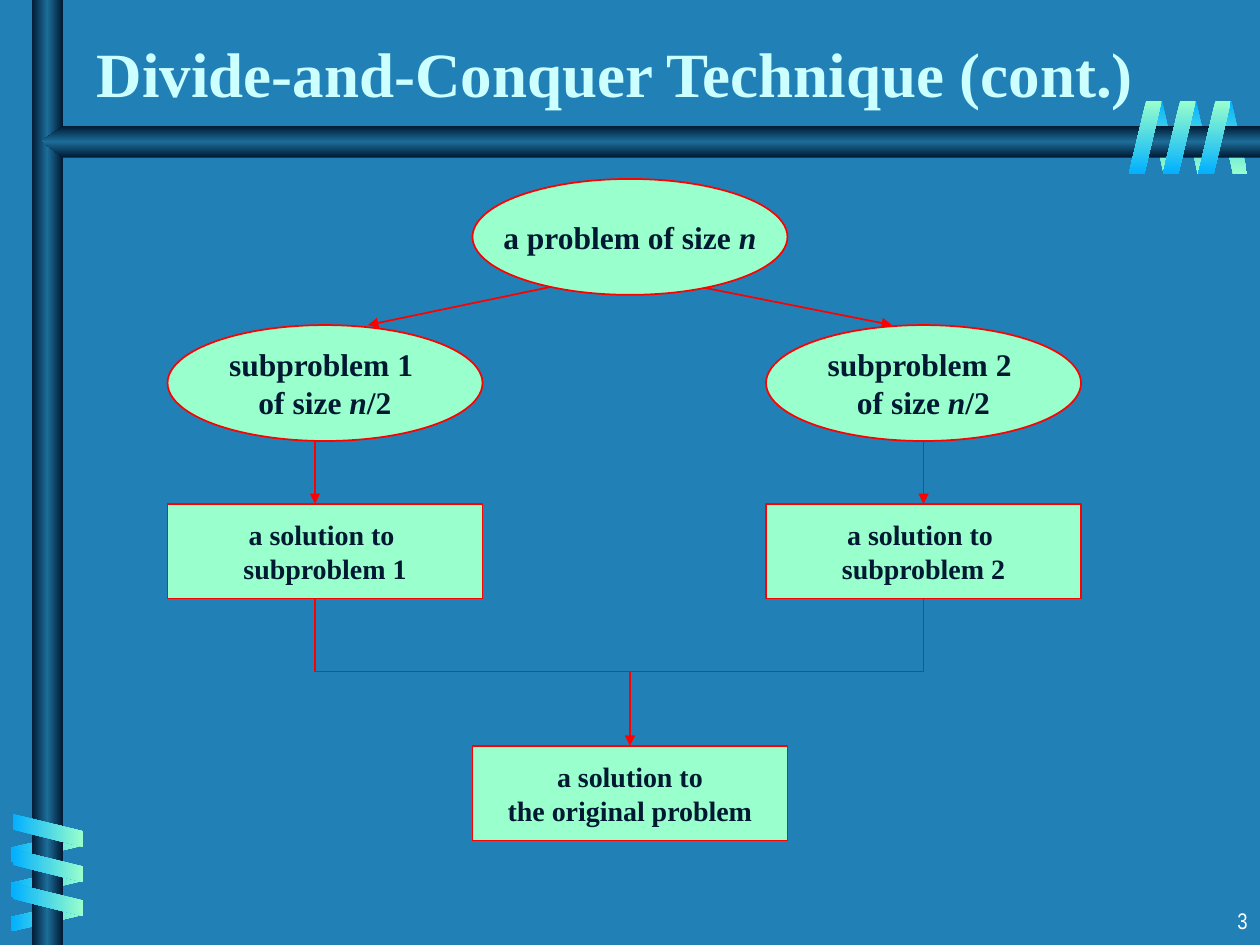
from copy import deepcopy

from pptx import Presentation
from pptx.dml.color import RGBColor
from pptx.enum.shapes import MSO_CONNECTOR as Connector, MSO_SHAPE as Shape
from pptx.enum.text import MSO_ANCHOR as Anchor, PP_ALIGN as Align
from pptx.oxml.ns import qn
from pptx.oxml.xmlchemy import OxmlElement
from pptx.util import Inches, Pt

COLORS = {
    "background": "2181B7",
    "title": "CCFFFF",
    "number": "FFFFFF",
    "mint": "99FFCC",
    "sky": "01B0FF",
    "navy": "001932",
    "steel": "1C6D9A",
    "red": "FF0000",
}
SERIF = "Times New Roman"
BAR = ("navy", "steel", "navy")


def color(name):
    return RGBColor.from_string(COLORS[name])


class FlowSlide:
    def __init__(self, presentation):
        self.slide = presentation.slides.add_slide(presentation.slide_layouts[6])
        self.shapes = self.slide.shapes
        fill = self.slide.background.fill
        fill.solid()
        fill.fore_color.rgb = color("background")

    def gradient(self, shape, names, angle):
        """Spread evenly spaced stops, fixed to the slide; angle runs clockwise."""
        shape.shadow.inherit = False
        shape.line.fill.background()
        shape.fill.gradient()
        shape.fill.gradient_angle = -angle % 360
        element = shape._element.spPr.find(qn("a:gradFill"))
        element.set("rotWithShape", "0")
        stop_list = element.find(qn("a:gsLst"))
        for _ in names[2:]:
            stop_list.append(deepcopy(stop_list[0]))
        for index, (stop, name) in enumerate(zip(shape.fill.gradient_stops, names)):
            stop.position = index / (len(names) - 1)
            stop.color.rgb = color(name)

    def preset(self, kind, left, top, width, height):
        return self.shapes.add_shape(
            kind, Inches(left), Inches(top), Inches(width), Inches(height))

    def coil(self, positions, size, names, angle, rotation=0, flip=False):
        for left, top in positions:
            shape = self.preset(Shape.PARALLELOGRAM, left, top, *size)
            shape.adjustments[0] = 0.53
            shape.rotation = rotation
            if flip:
                shape._element.spPr.xfrm.set("flipH", "1")
            self.gradient(shape, names, angle)

    def vertical_bar(self, left, top, width, height):
        shape = self.preset(Shape.RECTANGLE, left, top, width, height)
        self.gradient(shape, BAR, 0)

    def pointed_bar(self, points):
        corners = [(Inches(x), Inches(y)) for x, y in points]
        builder = self.shapes.build_freeform(*corners[0])
        builder.add_line_segments(corners[1:], close=True)
        self.gradient(builder.convert_to_shape(), BAR, 90)

    def add_runs(self, paragraph, runs, size, name, font=SERIF, bold=True):
        for text, italic in runs:
            run = paragraph.add_run()
            run.text = text
            run.font.name = font
            run.font.size = Pt(size)
            run.font.bold = bold
            run.font.italic = italic
            run.font.color.rgb = color(name)

    def text(self, box, content, size, name, anchor=Anchor.TOP, **style):
        frame = self.shapes.add_textbox(*(Inches(length) for length in box)).text_frame
        frame.word_wrap = True
        frame.vertical_anchor = anchor
        paragraph = frame.paragraphs[0]
        self.add_runs(paragraph, [(content, False)], size, name, **style)
        return paragraph

    def node(self, kind, left, top, height, size, lines):
        shape = self.preset(kind, left, top, 2.5, height)
        shape.shadow.inherit = False
        shape.fill.solid()
        shape.fill.fore_color.rgb = color("mint")
        shape.line.color.rgb = color("red")
        shape.line.width = Pt(1)
        frame = shape.text_frame
        frame.word_wrap = False
        frame.vertical_anchor = Anchor.MIDDLE
        for index, runs in enumerate(lines):
            paragraph = frame.add_paragraph() if index else frame.paragraphs[0]
            paragraph.alignment = Align.CENTER
            self.add_runs(paragraph, runs, size, "navy")

    def problem(self, left, top, *lines):
        self.node(Shape.OVAL, left, top, 0.92, 18, lines)

    def solution(self, left, top, *lines):
        self.node(Shape.RECTANGLE, left, top, 0.75, 16,
                  [[(line, False)] for line in lines])

    def line(self, start, end, arrow=False):
        connector = self.shapes.add_connector(
            Connector.STRAIGHT, *(Inches(length) for length in start + end))
        connector.line.color.rgb = color("red")
        connector.line.width = Pt(1)
        if arrow:
            tail = OxmlElement("a:tailEnd")
            tail.set("type", "triangle")
            connector.line._get_or_add_ln().append(tail)
        connector._element.spPr.append(OxmlElement("a:effectLst"))


def main():
    presentation = Presentation()
    presentation.slide_width = Inches(10)
    presentation.slide_height = Inches(7.5)
    flow = FlowSlide(presentation)

    # Bars, with a coil wound round each of them: back halves, bars, front halves
    cool, warm = ("sky", "mint"), ("mint", "sky")
    turns = [0, 0.28, 0.55]
    flow.coil([(9.66 - turn, 0.8) for turn in turns], (0.24, 0.58), cool, 90, 180, True)
    flow.coil([(0.25, 6.44 + turn) for turn in turns], (0.24, 0.56), warm, 0, 90, True)
    flow.vertical_bar(0.25, 0, 0.25, 7.5)
    flow.pointed_bar([(10, 1), (0.5, 1), (0.33, 1.12), (0.5, 1.25), (10, 1.25)])
    flow.coil([(0.25, 6.31 + turn) for turn in turns], (0.26, 0.56), cool, 0, 270)
    flow.coil([(9.51 - turn, 0.8) for turn in turns], (0.26, 0.58), warm, 90)

    # Slide number and title
    number = flow.text((7.92, 7.17, 2.08, 0.33), "3", 12.9, "number",
                       font="Arial Narrow", bold=False)
    number.alignment = Align.RIGHT
    number.line_spacing = 0.9
    number.space_before = Pt(8.8)
    flow.text((0.67, 0.17, 9, 0.75), "Divide-and-Conquer Technique (cont.)", 36,
              "title", Anchor.BOTTOM)

    # Split: the problem and its arrows to the halves
    flow.line((4.5, 2.25), (2.92, 2.58), arrow=True)
    flow.line((5.42, 2.25), (7.08, 2.58), arrow=True)
    flow.problem(3.75, 1.42, [("a problem of size ", False), ("n", True)])

    # Branches: each subproblem, its solution and the line down to the join
    join = 5.33
    for branch, left, middle in ((1, 1.33, 2.5), (2, 6.08, 7.33)):
        flow.problem(left, 2.58, [(f"subproblem {branch} ", False)],
                     [("of size ", False), ("n", True), ("/2", False)])
        flow.solution(left, 4, "a solution to ", f"subproblem {branch}")
        flow.line((middle, 3.5), (middle, 4), arrow=True)
        flow.line((middle, 4.75), (middle, join))

    # Combine: the join and the final solution
    flow.solution(3.75, 5.92, "a solution to", "the original problem")
    flow.line((2.5, join), (7.33, join))
    flow.line((5, join), (5, 5.92), arrow=True)

    presentation.save("out.pptx")


if __name__ == "__main__":
    main()
